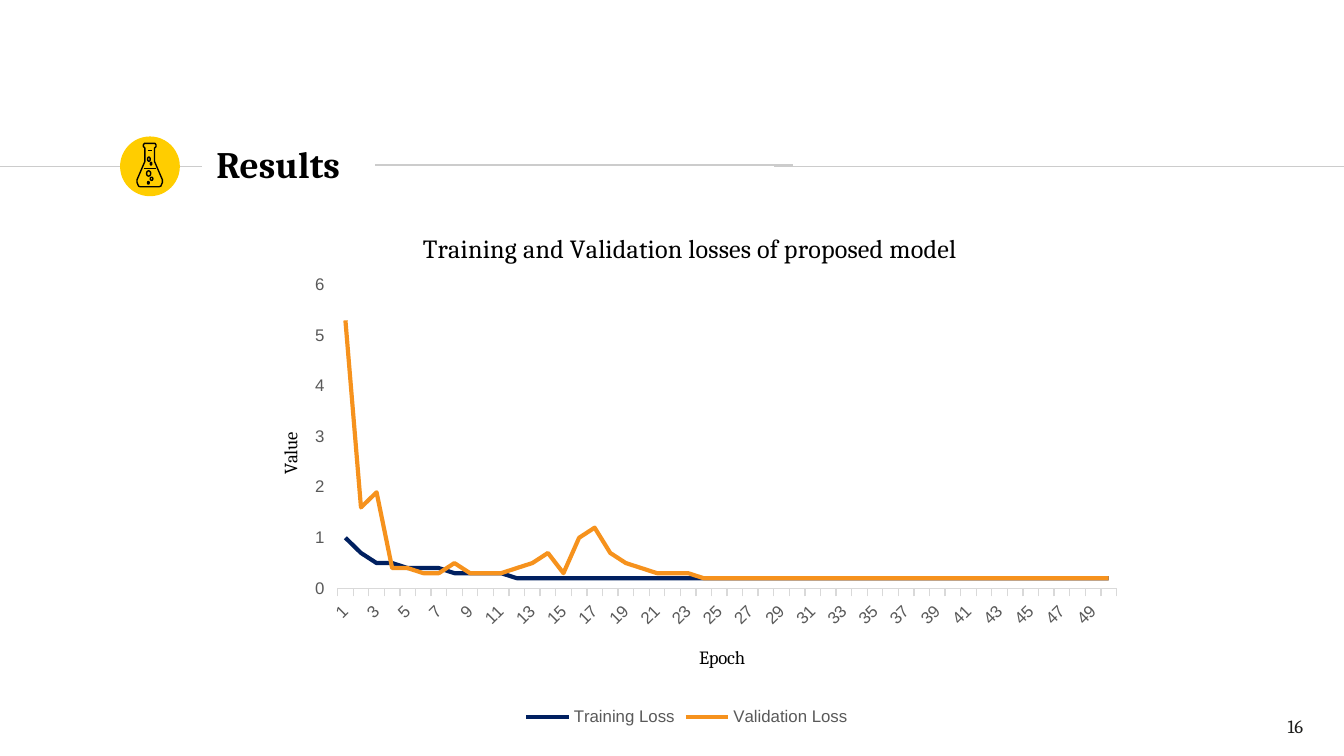
from dataclasses import dataclass

from pptx import Presentation
from pptx.chart.data import CategoryChartData
from pptx.dml.color import RGBColor
from pptx.enum.chart import XL_CHART_TYPE, XL_LEGEND_POSITION, XL_TICK_MARK
from pptx.enum.shapes import MSO_CONNECTOR, MSO_SHAPE
from pptx.enum.text import MSO_ANCHOR, PP_ALIGN
from pptx.oxml import parse_xml
from pptx.oxml.ns import nsdecls, qn
from pptx.util import Cm, Pt

LINE_CHART = XL_CHART_TYPE.LINE
BOTTOM = XL_LEGEND_POSITION.BOTTOM
TICK_OUT = XL_TICK_MARK.OUTSIDE
STRAIGHT = MSO_CONNECTOR.STRAIGHT
OVAL = MSO_SHAPE.OVAL
MIDDLE = MSO_ANCHOR.MIDDLE
LEFT, CENTER = PP_ALIGN.LEFT, PP_ALIGN.CENTER

COLORS = {
    "black": "000000",
    "number": "1D1D1B",
    "rule": "CCCCCC",
    "badge": "FFCD00",
    "axis": "D9D9D9",
    "label": "595959",
    "training": "002060",
    "validation": "F6921D",
}


@dataclass
class Rule:
    x1: float
    x2: float
    y: float
    color: str = "rule"


@dataclass
class Oval:
    x: float
    y: float
    w: float
    h: float


@dataclass
class Series:
    name: str
    values: list[float]
    color: str


RULES = [Rule(0, 3.81, 3.15), Rule(14.63, 25.4, 3.15), Rule(7.09, 14.99, 3.12)]
BADGE = Oval(2.27, 2.58, 1.13, 1.13)
FLASK_LINES = [Rule(2.72, 2.95, 3.18, "black"), Rule(2.79, 2.87, 2.84, "black")]
BUBBLES = [
    Oval(2.84, 3.35, 0.05, 0.06),
    Oval(2.77, 3.23, 0.08, 0.1),
    Oval(2.79, 3.43, 0.03, 0.05),
    Oval(2.84, 3.07, 0.03, 0.05),
    Oval(2.79, 2.97, 0.05, 0.08),
]
FLASK_AXIS = 283
FLASK_PROFILE = [(10, 271), (12, 274), (12, 277), (9, 280), (9, 305),
                 (24, 340), (24, 345), (21, 352), (18, 353)]
SERIES = [
    Series("Training Loss",
           [1, 0.7, 0.5, 0.5] + [0.4] * 3 + [0.3] * 4 + [0.2] * 39, "training"),
    Series("Validation Loss",
           [5.3, 1.6, 1.9, 0.4, 0.4, 0.3, 0.3, 0.5, 0.3, 0.3, 0.3, 0.4, 0.5,
            0.7, 0.3, 1, 1.2, 0.7, 0.5, 0.4, 0.3, 0.3, 0.3] + [0.2] * 27,
           "validation"),
]


def rgb(name: str) -> RGBColor:
    return RGBColor.from_string(COLORS[name])


def set_font(font, *, size: float, color: str, name: str = "Cambria",
             bold: bool = False) -> None:
    font.size, font.name, font.bold = Pt(size), name, bold
    font.color.rgb = rgb(color)


def write_text(tf, text: str, *, align=CENTER, **style) -> None:
    p = tf.paragraphs[0]
    p.alignment = align
    r = p.add_run()
    r.text = text
    set_font(r.font, **style)


def frame_text(tf) -> None:
    tf.word_wrap = True
    tf.vertical_anchor = MIDDLE
    tf.margin_left = tf.margin_right = tf.margin_top = tf.margin_bottom = Cm(0.25)


def draw_rule(shapes, rule: Rule) -> None:
    line = shapes.add_connector(STRAIGHT, Cm(rule.x1), Cm(rule.y),
                                Cm(rule.x2), Cm(rule.y))
    line.line.color.rgb = rgb(rule.color)
    line.line.width = Pt(0.75)
    line._element.spPr.append(parse_xml(f"<a:effectLst {nsdecls('a')}/>"))


def outline(sp) -> None:
    sp.shadow.inherit = False
    sp.fill.background()
    sp.line.color.rgb = rgb("black")
    sp.line.width = Pt(0.75)


def draw_oval(shapes, oval: Oval):
    sp = shapes.add_shape(OVAL, Cm(oval.x), Cm(oval.y), Cm(oval.w), Cm(oval.h))
    outline(sp)
    return sp


def draw_flask(shapes) -> None:
    right = [(FLASK_AXIS + dx, y) for dx, y in FLASK_PROFILE]
    left = [(FLASK_AXIS - dx, y) for dx, y in reversed(FLASK_PROFILE)]
    builder = shapes.build_freeform(*right[0], scale=Cm(0.01))
    builder.add_line_segments(right[1:] + left, close=True)
    outline(builder.convert_to_shape())
    for line in FLASK_LINES:
        draw_rule(shapes, line)
    for bubble in BUBBLES:
        draw_oval(shapes, bubble)


def place(element, **position: float) -> None:
    for old in element.findall(qn("c:layout")):
        element.remove(old)
    target = '<c:layoutTarget val="inner"/>' if "w" in position else ""
    modes = "".join(f'<c:{key}Mode val="edge"/>' for key in position if key in "xy")
    values = "".join(f'<c:{key} val="{v}"/>' for key, v in position.items())
    layout = parse_xml(f"<c:layout {nsdecls('c')}><c:manualLayout>{target}{modes}"
                       f"{values}</c:manualLayout></c:layout>")
    tx = element.find(qn("c:tx"))
    element.insert(0 if tx is None else 1, layout)


def add_title(title, text: str, size: float, x: float, y: float) -> None:
    write_text(title.text_frame, text, size=size, color="black")
    place(title.element, x=x, y=y)


def draw_chart(shapes) -> None:
    data = CategoryChartData()
    data.categories = [str(epoch) for epoch in range(1, 51)]
    for series in SERIES:
        data.add_series(series.name, series.values)
    chart = shapes.add_chart(LINE_CHART, Cm(4.52), Cm(3.78), Cm(16.92), Cm(10.06),
                             data).chart
    set_font(chart.font, size=10, color="black", name="Arial")
    chart.has_title = True
    add_title(chart.chart_title, "Training and Validation losses of proposed model",
              14, 0.2, 0.05)
    chart.has_legend = True
    chart.legend.position = BOTTOM
    chart.legend.include_in_layout = False
    set_font(chart.legend.font, size=9, color="label", name="Arial")

    cat, val = chart.category_axis, chart.value_axis
    for axis in (cat, val):
        axis.has_major_gridlines = False
        axis.major_tick_mark = TICK_OUT
        set_font(axis.tick_labels.font, size=9, color="label", name="Arial")
    cat.format.line.color.rgb = rgb("axis")
    cat.format.line.width = Pt(0.75)
    val.format.line.fill.background()
    val.minimum_scale, val.maximum_scale, val.major_unit = 0, 6, 1
    add_title(cat.axis_title, "Epoch", 10, 0.51, 0.83)
    add_title(val.axis_title, "Value", 10, 0.04, 0.43)
    val.axis_title.element.find(".//" + qn("a:bodyPr")).set("rot", "-5400000")
    chart.element.xpath(".//c:catAx/c:txPr/a:bodyPr")[0].set("rot", "-2700000")
    place(chart.element.find(".//" + qn("c:plotArea")), x=0.11, y=0.16, w=0.87, h=0.57)

    plot = chart.plots[0]
    plot.vary_by_categories = False
    for line, series in zip(plot.series, SERIES):
        line.smooth = False
        line.format.line.color.rgb = rgb(series.color)
        line.format.line.width = Pt(2.25)


def main() -> None:
    prs = Presentation()
    prs.slide_width, prs.slide_height = Cm(25.4), Cm(14.29)
    s = prs.slides.add_slide(prs.slide_layouts[5])
    for rule in RULES:
        draw_rule(s.shapes, rule)
    badge = draw_oval(s.shapes, BADGE)
    badge.fill.solid()
    badge.fill.fore_color.rgb = rgb("badge")
    badge.line.fill.background()

    title = s.shapes.title
    title.left, title.top, title.width, title.height = Cm(3.84), Cm(2.49), Cm(10.77), Cm(1.22)
    frame_text(title.text_frame)
    write_text(title.text_frame, "Results", align=LEFT, size=20, color="black", bold=True)
    number = s.shapes.add_textbox(Cm(23.72), Cm(13.18), Cm(1.52), Cm(1.09))
    frame_text(number.text_frame)
    write_text(number.text_frame, "16", size=10, color="number")

    draw_chart(s.shapes)
    draw_flask(s.shapes)
    prs.save("out.pptx")


if __name__ == "__main__":
    main()
